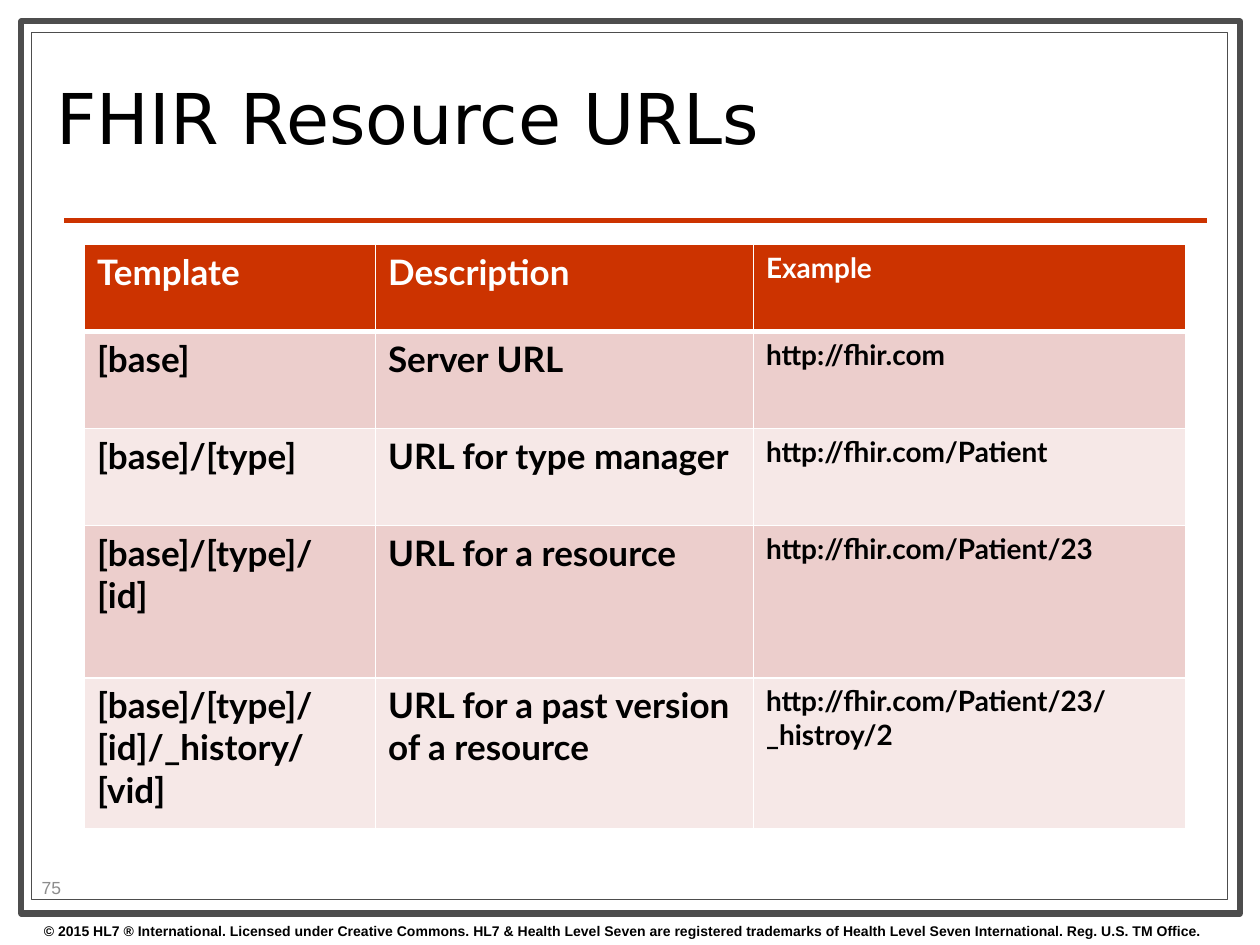
import pptx
import pptx.dml.color
import pptx.enum.shapes
import pptx.enum.text
import pptx.oxml.ns
import pptx.util
from lxml import etree

Inches = pptx.util.Inches
Pt = pptx.util.Pt
RGBColor = pptx.dml.color.RGBColor
Shape = pptx.enum.shapes.MSO_SHAPE
Anchor = pptx.enum.text.MSO_ANCHOR
Align = pptx.enum.text.PP_ALIGN
qn = pptx.oxml.ns.qn

WHITE = RGBColor(0xFF, 0xFF, 0xFF)
BLACK = RGBColor(0x00, 0x00, 0x00)
FRAME_GREY = RGBColor(0x4D, 0x4D, 0x4D)
NUMBER_GREY = RGBColor(0x8C, 0x8C, 0x8C)
RED = RGBColor(0xCC, 0x33, 0x00)
BAND_DARK = RGBColor(0xEC, 0xCE, 0xCC)
BAND_LIGHT = RGBColor(0xF6, 0xE8, 0xE7)

COLUMN_WIDTHS = [2.31, 3, 3.43]
COLUMN_SIZES = [20, 20, 16]
ROW_HEIGHTS = [0.69, 0.77, 0.77, 1.21, 1.2]
ROWS = [
    ("Template", "Description", "Example"),
    ("[base]", "Server URL", "http://fhir.com"),
    ("[base]/[type]", "URL for type manager", "http://fhir.com/Patient"),
    ("[base]/[type]/[id]", "URL for a resource", "http://fhir.com/Patient/23"),
    ("[base]/[type]/[id]/_history/[vid]", "URL for a past version of a resource",
     "http://fhir.com/Patient/23/_histroy/2"),
]


def write(text_frame, text, size, font, color, bold=False):
    para = text_frame.paragraphs[0]
    para.alignment = Align.LEFT
    span = para.add_run()
    span.text = text
    span.font.size = Pt(size)
    span.font.name = font
    span.font.bold = bold
    span.font.color.rgb = color
    return para


def add_frame(page, left, top, width, height, weight):
    frame = page.shapes.add_shape(
        Shape.RECTANGLE, Inches(left), Inches(top), Inches(width), Inches(height))
    frame.shadow.inherit = False
    frame.fill.solid()
    frame.fill.fore_color.rgb = WHITE
    frame.line.color.rgb = FRAME_GREY
    frame.line.width = Pt(weight)


def add_rule(page, left, right, top):
    rule = page.shapes.add_connector(
        pptx.enum.shapes.MSO_CONNECTOR.STRAIGHT,
        Inches(left), Inches(top), Inches(right), Inches(top))
    rule.line.color.rgb = RED
    rule.line.width = Pt(3)
    etree.SubElement(rule.element.spPr, qn("a:effectLst"))


def add_copyright(page):
    box = page.shapes.add_textbox(Inches(0.25), Inches(7.27), Inches(10), Inches(0.23))
    box.text_frame.word_wrap = True
    write(box.text_frame,
          "© 2015 HL7 ® International. Licensed under Creative Commons. "
          "HL7 & Health Level Seven are registered trademarks of "
          "Health Level Seven International. Reg. U.S. TM Office.",
          8, "Arial", BLACK, bold=True)


def set_title(page, text):
    title = page.shapes.title
    title.left, title.top = Inches(0.35), Inches(0.36)
    title.width, title.height = Inches(7.17), Inches(1.26)
    title.text_frame.vertical_anchor = Anchor.MIDDLE
    para = write(title.text_frame, text, 40, "DejaVu Sans", BLACK)
    para.line_spacing = 0.8
    # Bring the title in front of the filled frames
    title.element.getparent().append(title.element)


def set_borders(cell, bottom):
    properties = cell._tc.get_or_add_tcPr()
    weights = {"a:lnL": 1, "a:lnR": 1, "a:lnT": 1, "a:lnB": bottom}
    for position, (tag, weight) in enumerate(weights.items()):
        line = etree.Element(qn(tag), w=str(Pt(weight)))
        fill = etree.SubElement(line, qn("a:solidFill"))
        etree.SubElement(fill, qn("a:srgbClr"), val=str(WHITE))
        properties.insert(position, line)


def add_url_table(page):
    table = page.shapes.add_table(
        len(ROWS), len(COLUMN_WIDTHS), Inches(0.67), Inches(1.94),
        Inches(sum(COLUMN_WIDTHS)), Inches(sum(ROW_HEIGHTS))).table
    for column, width in zip(table.columns, COLUMN_WIDTHS):
        column.width = Inches(width)
    for index, (row, height, texts) in enumerate(zip(table.rows, ROW_HEIGHTS, ROWS)):
        row.height = Inches(height)
        header = index == 0
        band = RED if header else BAND_DARK if index % 2 else BAND_LIGHT
        for cell, text, size in zip(row.cells, texts, COLUMN_SIZES):
            cell.fill.solid()
            cell.fill.fore_color.rgb = band
            set_borders(cell, bottom=3 if header else 1)
            write(cell.text_frame, text, size, "Lato", WHITE if header else BLACK, bold=True)


def add_page_number(page, number):
    badge = page.shapes.add_shape(
        Shape.OVAL, Inches(0.16), Inches(6.79), Inches(0.5), Inches(0.5))
    badge.shadow.inherit = False
    badge.fill.background()
    badge.line.fill.background()
    badge.text_frame.vertical_anchor = Anchor.MIDDLE
    badge.text_frame.word_wrap = False
    write(badge.text_frame, number, 10, "Arial", NUMBER_GREY)


def main():
    deck = pptx.Presentation()
    deck.slide_width, deck.slide_height = Inches(10), Inches(7.5)
    page = deck.slides.add_slide(deck.slide_layouts[5])

    # Page frame, rule and copyright line
    add_frame(page, 0.17, 0.17, 9.67, 7.08, 3.5)
    add_frame(page, 0.25, 0.26, 9.49, 6.88, 0.75)
    add_rule(page, 0.51, 9.58, 1.75)
    add_copyright(page)

    # Content
    set_title(page, "FHIR Resource URLs")
    add_url_table(page)
    add_page_number(page, "75")
    deck.save("out.pptx")


if __name__ == "__main__":
    main()
